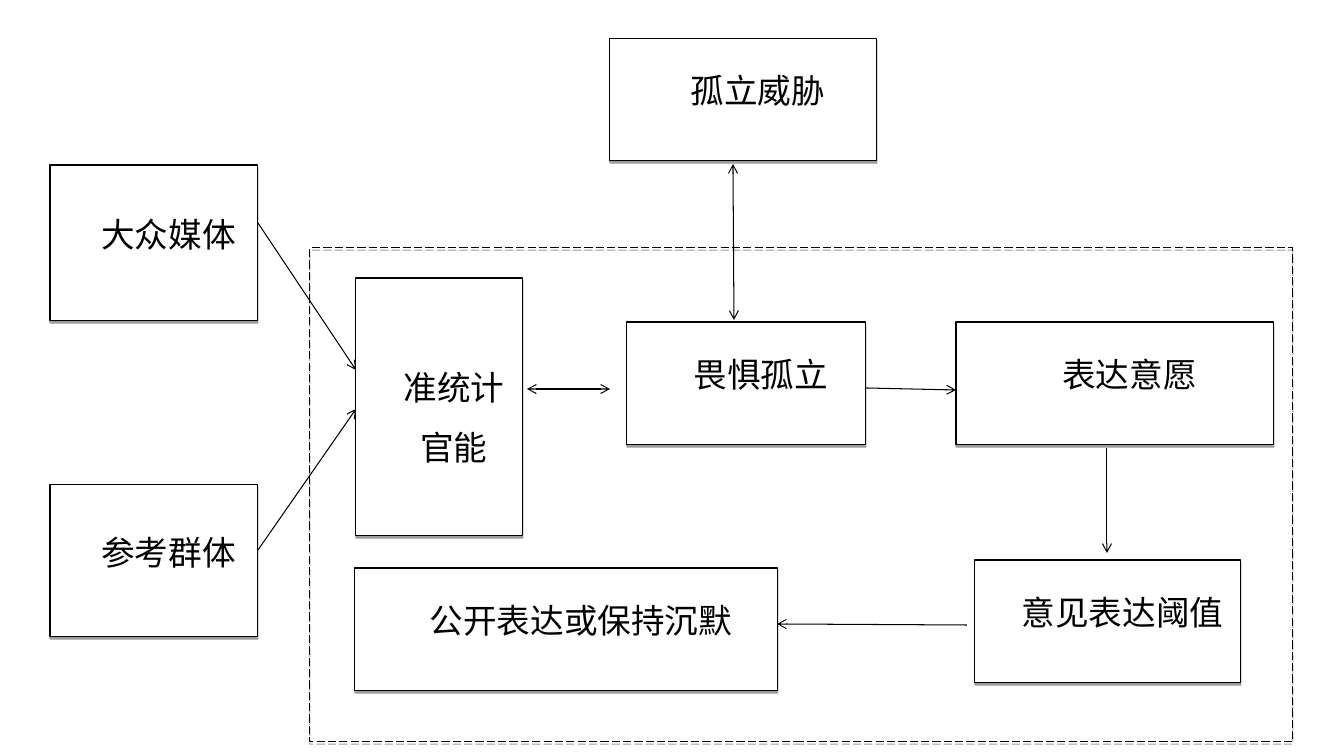
from dataclasses import dataclass

from lxml import etree
from pptx import Presentation, util as u
from pptx.dml.color import RGBColor
from pptx.enum import dml, shapes, text
from pptx.oxml import ns


@dataclass(frozen=True)
class Theme:
    ink: RGBColor = RGBColor(0, 0, 0)
    paper: RGBColor = RGBColor(255, 255, 255)
    font: str = "Times New Roman"
    label_size: u.Length = u.Pt(24)
    leading: u.Length = u.Pt(15.8)
    line_width: u.Length = u.Pt(0.75)
    shadow_distance: u.Length = u.Pt(1.6)
    shadow_alpha: int = 38000
    indent: int = 29


THEME = Theme()
WIDTH, HEIGHT = 1344, 756
SCALE = u.Inches(1) / 100.8


def px(value):
    return u.Emu(round(value * SCALE))


def add_xml(parent, tag, **attributes):
    return etree.SubElement(parent, ns.qn(tag), attributes)


# Building blocks
def add_box(slide, region, place):
    left, top, width, height = place
    box = slide.shapes.add_shape(
        shapes.MSO_SHAPE.RECTANGLE,
        px(region[0] + left), px(region[1] + top), px(width), px(height))
    box.fill.solid()
    box.fill.fore_color.rgb = THEME.paper
    box.line.color.rgb = THEME.ink
    box.line.width = THEME.line_width
    # Thin shadow straight below the box
    box.shadow.inherit = False
    effects = box._element.spPr.find(ns.qn("a:effectLst"))
    shadow = add_xml(effects, "a:outerShdw", blurRad="0", dir="5400000",
                     dist=str(int(THEME.shadow_distance)), rotWithShape="0")
    color = add_xml(shadow, "a:srgbClr", val=str(THEME.ink))
    add_xml(color, "a:alpha", val=str(THEME.shadow_alpha))
    return box


def add_step(slide, region, label, place, spacing=THEME.leading):
    frame = add_box(slide, region, place).text_frame
    frame.word_wrap = True
    frame.vertical_anchor = text.MSO_ANCHOR.MIDDLE
    frame.text = label
    for paragraph in frame.paragraphs:
        paragraph.alignment = text.PP_ALIGN.CENTER
        paragraph.line_spacing = spacing
        paragraph.font.name = THEME.font
        paragraph.font.size = THEME.label_size
        paragraph.font.color.rgb = THEME.ink
        properties = paragraph._p.get_or_add_pPr()
        properties.set("marL", "0")
        properties.set("indent", str(px(THEME.indent)))


def add_arrow(slide, region, start, end, both_ways=False):
    arrow = slide.shapes.add_connector(
        shapes.MSO_CONNECTOR.STRAIGHT,
        px(region[0] + start[0]), px(region[1] + start[1]),
        px(region[0] + end[0]), px(region[1] + end[1]))
    arrow.line.color.rgb = THEME.ink
    arrow.line.width = THEME.line_width
    line = arrow.line._get_or_add_ln()
    if both_ways:
        add_xml(line, "a:headEnd", type="arrow")
    add_xml(line, "a:tailEnd", type="arrow")
    add_xml(arrow._element.spPr, "a:effectLst")


# Dashed region: how a person decides to speak
def add_individual_process(slide, region):
    border = add_box(slide, region, (0, 0, *region[2:]))
    border.fill.background()
    border.line.dash_style = dml.MSO_LINE.LONG_DASH

    add_step(slide, region, "准统计\n官能", (46, 30, 167, 258), spacing=1.5)
    for label, place in (
        ("畏惧孤立", (317, 74, 239, 123)),
        ("表达意愿", (646, 74, 318, 123)),
        ("意见表达阈值", (665, 312, 266, 123)),
        ("公开表达或保持沉默", (45, 320, 423, 123)),
    ):
        add_step(slide, region, label, place)

    add_arrow(slide, region, (217, 141), (300, 141), both_ways=True)
    add_arrow(slide, region, (556, 140), (646, 142))
    add_arrow(slide, region, (797, 200), (797, 305))
    add_arrow(slide, region, (657, 377), (467, 376))


# Outside influences feeding the process
def add_social_influences(slide, region):
    for label, place in (
        ("大众媒体", (50, 165, 208, 156)),
        ("参考群体", (50, 485, 208, 152)),
        ("孤立威胁", (610, 38, 267, 123)),
    ):
        add_step(slide, region, label, place)

    add_arrow(slide, region, (258, 223), (356, 370))
    add_arrow(slide, region, (258, 550), (356, 409))
    add_arrow(slide, region, (733, 164), (734, 320), both_ways=True)


presentation = Presentation()
presentation.slide_width = px(WIDTH)
presentation.slide_height = px(HEIGHT)
opinion_slide = presentation.slides.add_slide(presentation.slide_layouts[6])
add_individual_process(opinion_slide, (310, 248, 983, 494))
add_social_influences(opinion_slide, (0, 0, WIDTH, HEIGHT))
presentation.save("out.pptx")
